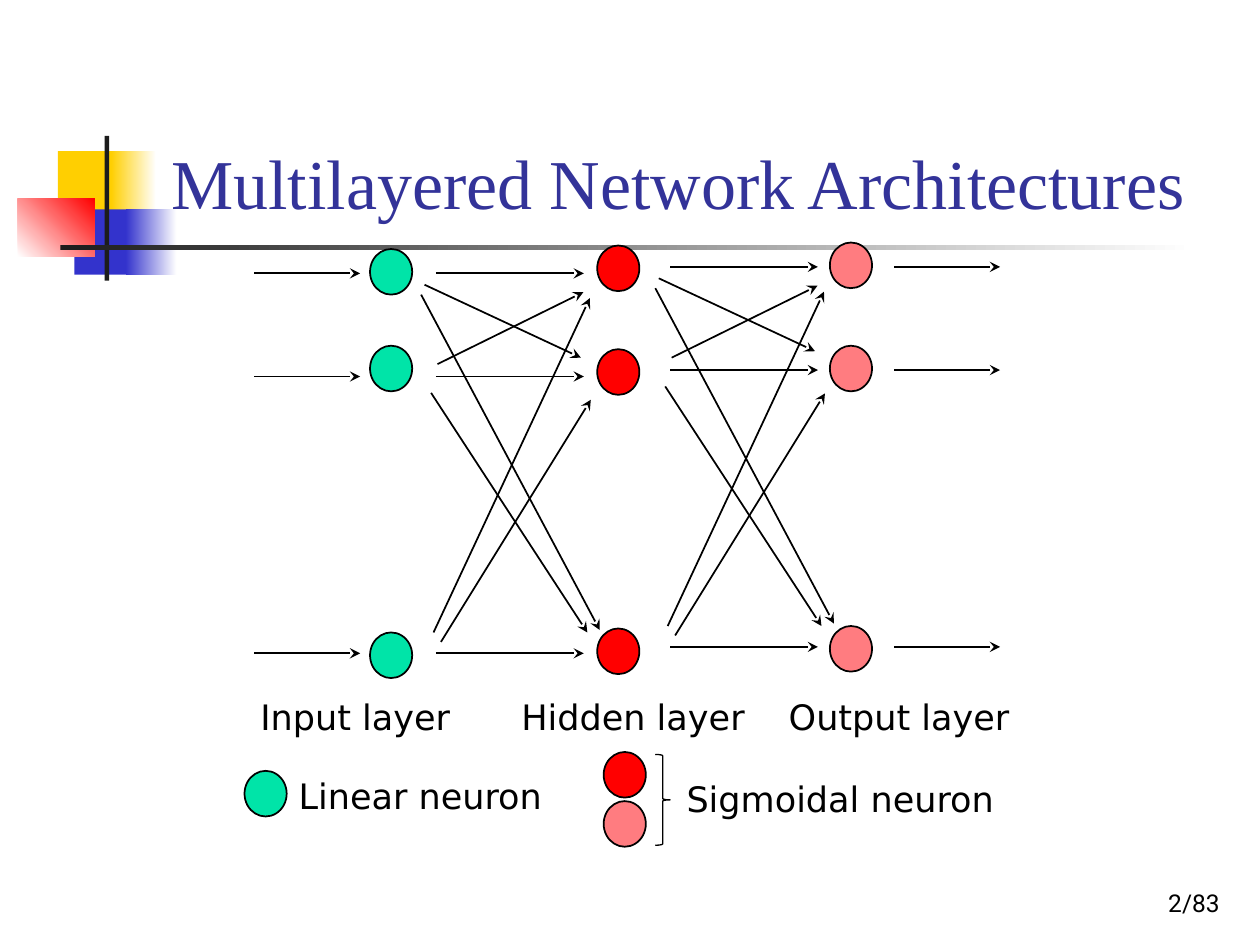
from typing import NamedTuple, Optional

from lxml.etree import SubElement
from pptx import Presentation
from pptx.dml.color import RGBColor
from pptx.enum.shapes import MSO_CONNECTOR, MSO_SHAPE
from pptx.enum.text import MSO_ANCHOR, MSO_AUTO_SIZE, PP_ALIGN
from pptx.oxml.ns import qn
from pptx.util import Cm, Pt

COLORS = {
    "yellow": "FFCF01", "blue": "3333CC", "red": "FF0000", "dark": "1C1C1C",
    "white": "FFFFFF", "black": "000000", "title": "333399",
    "input": "00E4A8", "hidden": "FF0000", "output": "FF7C80",
}
NEURON_W, NEURON_H = 0.85, 0.92
LABEL_H = 1.09


class Block(NamedTuple):
    x: float
    y: float
    w: float
    h: float
    color: str
    fade_to: Optional[str] = None
    angle: float = 0


class Layer(NamedTuple):
    color: str
    x: float
    rows: tuple


class Label(NamedTuple):
    text: str
    x: float
    y: float
    w: float


class Arrows(NamedTuple):
    x: float
    y: float
    segments: list


def rgb(name: str) -> RGBColor:
    return RGBColor.from_string(COLORS[name])


def add_block(s, b: Block) -> None:
    sp = s.shapes.add_shape(MSO_SHAPE.RECTANGLE, Cm(b.x), Cm(b.y), Cm(b.w), Cm(b.h))
    sp.shadow.inherit = False
    sp.line.fill.background()
    if b.fade_to is None:
        sp.fill.solid()
        sp.fill.fore_color.rgb = rgb(b.color)
        return
    sp.fill.gradient()
    sp.fill.gradient_angle = b.angle
    for stop, name, position in zip(sp.fill.gradient_stops, (b.color, b.fade_to), (0, 1)):
        stop.color.rgb = rgb(name)
        stop.position = position


def format_text(tf, text: str, font: str, size: float, color: str,
                align=PP_ALIGN.LEFT, anchor=MSO_ANCHOR.TOP) -> None:
    tf.text = text
    tf.word_wrap = True
    tf.auto_size = MSO_AUTO_SIZE.NONE
    tf.vertical_anchor = anchor
    p = tf.paragraphs[0]
    p.alignment = align
    r = p.runs[0]
    r.font.name = font
    r.font.size = Pt(size)
    r.font.color.rgb = rgb(color)


def add_label(s, label: Label) -> None:
    box = s.shapes.add_textbox(Cm(label.x), Cm(label.y), Cm(label.w), Cm(LABEL_H))
    format_text(box.text_frame, label.text, "DejaVu Sans", 20, "black")


def add_neuron(s, x: float, y: float, color: str) -> None:
    sp = s.shapes.add_shape(MSO_SHAPE.OVAL, Cm(x), Cm(y), Cm(NEURON_W), Cm(NEURON_H))
    sp.shadow.inherit = False
    sp.fill.solid()
    sp.fill.fore_color.rgb = rgb(color)
    sp.line.color.rgb = rgb("black")
    sp.line.width = Pt(1)


def add_arrows(s, group: Arrows) -> None:
    for x1, y1, x2, y2 in group.segments:
        c = s.shapes.add_connector(
            MSO_CONNECTOR.STRAIGHT, Cm(group.x + x1), Cm(group.y + y1),
            Cm(group.x + x2), Cm(group.y + y2))
        c.line.color.rgb = rgb("black")
        c.line.width = Pt(1)
        sp_pr = c.element.spPr
        SubElement(sp_pr.find(qn("a:ln")), qn("a:tailEnd"), type="stealth")
        SubElement(sp_pr, qn("a:effectLst"))


BLOCKS = [
    Block(1.17, 3.05, 1.22, 1.32, "yellow"),
    Block(2.24, 3.05, 0.91, 1.32, "yellow", "white"),
    Block(1.5, 4.22, 1.17, 1.32, "blue"),
    Block(2.54, 4.22, 1.02, 1.32, "blue", "white"),
    Block(0.36, 4.01, 1.55, 1.17, "white", "red", 45),
    Block(2.11, 2.74, 0.09, 2.92, "dark"),
    Block(1.22, 4.94, 22.86, 0.1, "dark", "white"),
]
LABELS = [
    Label("Linear neuron", 5.77, 15.49, 5.89),
    Label("Sigmoidal neuron", 13.59, 15.54, 7.14),
    Label("Input layer", 5, 13.89, 5.08),
    Label("Hidden layer", 10.26, 13.89, 5.72),
    Label("Output layer", 15.65, 13.89, 5.36),
]
LAYERS = [
    Layer("input", 7.46, (5.02, 6.97, 12.75)),
    Layer("hidden", 12.04, (4.95, 7.04, 12.67)),
    Layer("output", 16.73, (4.89, 6.97, 12.62)),
]
LEGEND = [
    Layer("input", 4.93, (15.54,)),
    Layer("hidden", 12.17, (15.16,)),
    Layer("output", 12.17, (16.15,)),
]

# Arrow patterns, relative to the start of the top arrow
ROWS = (0, 2.08, 7.66)
OUTER = [(0, y, 2.13, y) for y in ROWS]
MESH = [(0, y, 2.98, y) for y in ROWS] + [
    (0.03, 1.83, 2.97, 0.38),
    (-0.1, 2.41, 3.05, 7.24),
    (0.1, 7.43, 3.12, 2.55),
    (-0.05, 7.24, 3.1, 0.5),
    (-0.23, 0.23, 2.92, 1.7),
    (-0.3, 0.43, 3.3, 7.19),
]
ARROWS = [
    Arrows(5.13, 5.51, OUTER),
    Arrows(8.79, 5.51, MESH),
    Arrows(13.51, 5.38, MESH),
    Arrows(18.03, 5.38, OUTER),
]


def main() -> None:
    prs = Presentation()
    prs.slide_width, prs.slide_height = Cm(25.4), Cm(19.05)
    s = prs.slides.add_slide(prs.slide_layouts[5])

    # Decoration and page number
    for block in BLOCKS:
        add_block(s, block)
    number = s.shapes.add_textbox(Cm(19.56), Cm(17.35), Cm(5.28), Cm(1.27))
    format_text(number.text_frame, "2/83", "Roboto", 14, "black",
                PP_ALIGN.RIGHT, MSO_ANCHOR.BOTTOM)

    # Title, in front of the decoration
    title = s.shapes.title
    title.left, title.top, title.width, title.height = Cm(3.2), Cm(0.58), Cm(21.64), Cm(4.06)
    format_text(title.text_frame, "Multilayered Network Architectures",
                "Times New Roman", 40, "title", anchor=MSO_ANCHOR.BOTTOM)
    title.element.getparent().append(title.element)

    # Network and legend
    for label in LABELS:
        add_label(s, label)
    for layer in LAYERS + LEGEND:
        for y in layer.rows:
            add_neuron(s, layer.x, y, layer.color)
    for group in ARROWS:
        add_arrows(s, group)

    # Brace joining the sigmoidal neurons
    brace = s.shapes.add_shape(MSO_SHAPE.RIGHT_BRACE, Cm(13.21), Cm(15.21), Cm(0.3), Cm(1.83))
    brace.shadow.inherit = False
    brace.fill.background()
    brace.line.color.rgb = rgb("black")
    brace.line.width = Pt(0.75)

    prs.save("out.pptx")


if __name__ == "__main__":
    main()
